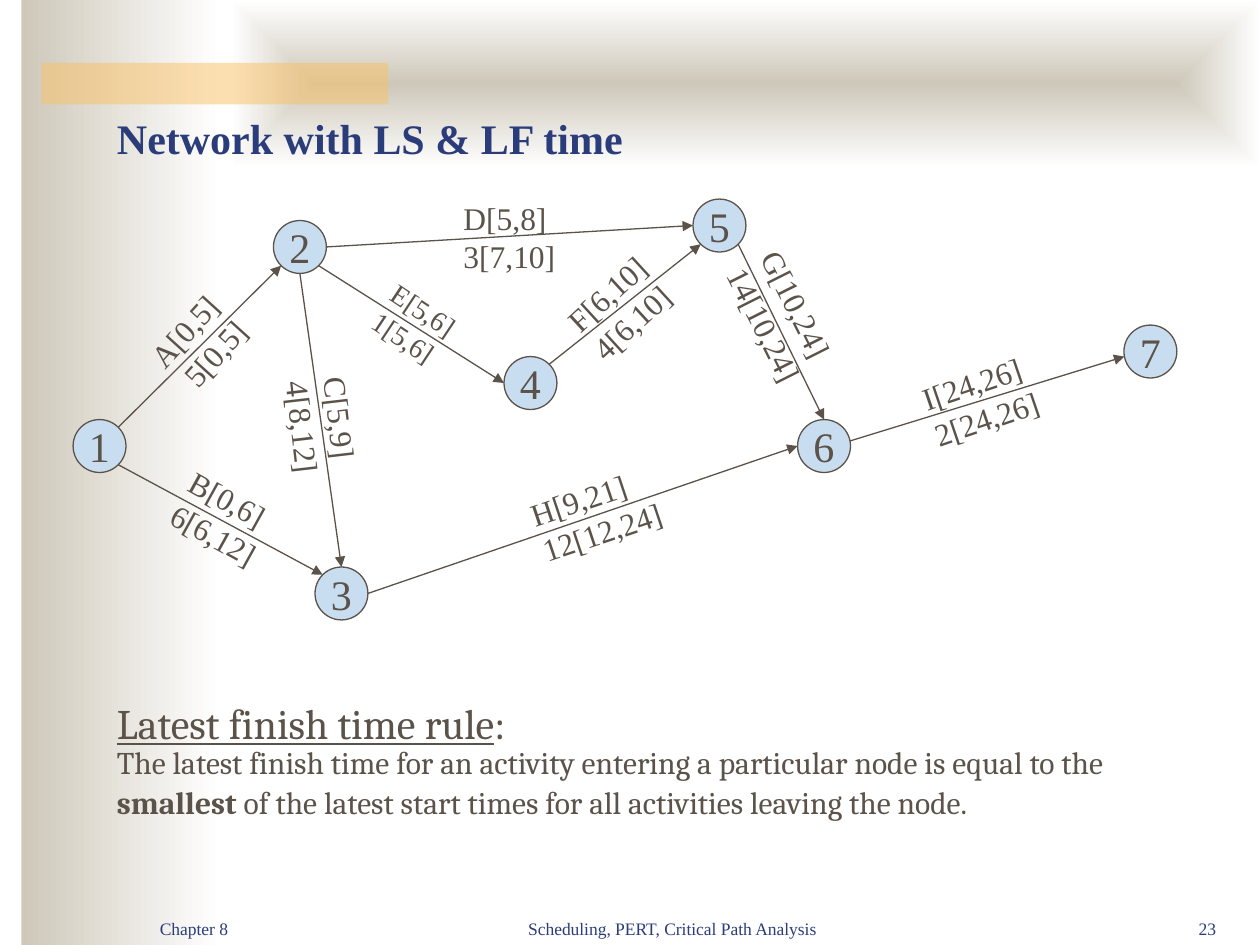
from dataclasses import dataclass
from math import cos, radians, sin

from lxml import etree
from pptx import Presentation
from pptx.dml.color import RGBColor
from pptx.enum.shapes import MSO_CONNECTOR, MSO_SHAPE
from pptx.enum.text import MSO_ANCHOR, PP_ALIGN
from pptx.oxml.ns import qn
from pptx.util import Inches, Pt

RECT, OVAL = MSO_SHAPE.RECTANGLE, MSO_SHAPE.OVAL
STRAIGHT = MSO_CONNECTOR.STRAIGHT
TOP, MIDDLE, BOTTOM = MSO_ANCHOR.TOP, MSO_ANCHOR.MIDDLE, MSO_ANCHOR.BOTTOM
LEFT, CENTER, RIGHT = PP_ALIGN.LEFT, PP_ALIGN.CENTER, PP_ALIGN.RIGHT


@dataclass(frozen=True)
class Theme:
    ink: str = "5B5249"
    navy: str = "2A3D7A"
    node: str = "C9DDF1"
    sand: str = "CEC8BA"
    paper: str = "FFFFFF"
    accent: str = "FAC164"
    network_font: str = "Times New Roman"
    body_font: str = "Cambria"
    large: int = 24
    medium: int = 18
    small: int = 16
    footer: int = 10
    line: float = 0.75


THEME = Theme()
NODE_SIZE = 0.42
NODES = {
    "1": (0.58, 3.33), "3": (2.5, 4.5), "4": (4, 2.83), "2": (2.17, 1.75),
    "5": (5.5, 1.58), "7": (8.92, 2.58), "6": (6.33, 3.33),
}
# Angles run clockwise from the right-hand side of a node.
ACTIVITIES = [
    ("1", -45, "2", 135), ("1", 45, "3", 225), ("2", 90, "3", 270),
    ("2", 45, "4", 180), ("2", 0, "5", 180), ("4", -45, "5", 135),
    ("5", 45, "6", 270), ("3", 0, "6", 180), ("6", -11, "7", 169),
]
LABELS = [
    (("A[0,5]", "5[0,5]"), (1.13, 2.35, 0.93, 0.7), 312.2, {"indents": (0, 0.06)}),
    (("B[0,6]", "6[6,12]"), (1.25, 3.75, 1, 0.7), 29, {"indents": (0.06, 0.06)}),
    (("C[5,9]", "4[8,12]"), (2.06, 3.06, 1, 0.7), 83.4, {}),
    (("D[5,8]", "3[7,10]"), (3.58, 1.53, 1.08, 0.7), 0, {}),
    (("E[5,6]", "1[5,6]"), (2.9, 2.28, 0.85, 0.64), 33.6, {"size": THEME.small}),
    (("F[6,10]", "4[6,10]"), (4.44, 2.08, 0.98, 0.7), 317.5, {}),
    (("G[10,24]", "14[10,24]"), (5.75, 1.92, 1.27, 1.1), 63.3, {"top_inset": 0.43}),
    (("H[9,21]", "12[12,24]"), (4.08, 3.71, 1.4, 0.7), 341.5, {"indents": (0.06, 0.06)}),
    (("I[24,26]", "2[24,26]"), (7.25, 2.8, 1.22, 0.7), 341.2, {}),
]
FOOTERS = [
    ("Chapter 8", (1.17, 7, 2.08, 0.5), LEFT),
    ("Scheduling, PERT, Critical Path Analysis", (3.75, 7, 3.17, 0.5), CENTER),
    ("23", (8.75, 7, 1, 0.5), RIGHT),
]
RULE = [
    [("Latest finish time rule", {"underline": True}), (":", {})],
    [
        ("The latest finish time for an activity entering a particular node "
         "is equal to the ", {"size": THEME.medium}),
        ("smallest", {"size": THEME.medium, "bold": True}),
        (" of the latest start times for all activities leaving the node.",
         {"size": THEME.medium}),
        (" ", {}),
    ],
]


def write_text(frame, paragraphs, *, size, color=THEME.ink, font=THEME.network_font,
               bold=False, align=LEFT, anchor=TOP, wrap=True, spacing=None,
               indents=(), top_inset=0.05):
    frame.word_wrap = wrap
    frame.vertical_anchor = anchor
    frame.margin_left = frame.margin_right = Inches(0.1)
    frame.margin_top, frame.margin_bottom = Inches(top_inset), Inches(0.05)
    for index, pieces in enumerate(paragraphs):
        paragraph = frame.add_paragraph() if index else frame.paragraphs[0]
        paragraph.alignment = align
        if spacing:
            paragraph.line_spacing = spacing
        if indents:
            paragraph._p.get_or_add_pPr().set("marL", str(Inches(indents[index])))
        if isinstance(pieces, str):
            pieces = [(pieces, {})]
        for words, change in pieces:
            run = paragraph.add_run()
            run.text = words
            run.font.name = font
            run.font.size = Pt(change.get("size", size))
            run.font.bold = change.get("bold", bold)
            run.font.underline = change.get("underline", False)
            run.font.color.rgb = RGBColor.from_string(color)


class SlideBuilder:
    def __init__(self, slide, theme):
        self.slide = slide
        self.theme = theme

    def shape(self, kind, box):
        shape = self.slide.shapes.add_shape(kind, *map(Inches, box))
        shape.shadow.inherit = False
        return shape

    def gradient_panel(self, box, from_center=False):
        panel = self.shape(RECT, box)
        panel.line.fill.background()
        panel.fill.gradient()
        panel.fill.gradient_angle = 0
        for stop, color in zip(panel.fill.gradient_stops, (self.theme.sand, self.theme.paper)):
            stop.color.rgb = RGBColor.from_string(color)
        if from_center:
            linear = panel._element.spPr.find(f".//{qn('a:lin')}")
            gradient = linear.getparent()
            gradient.remove(linear)
            radial = etree.SubElement(gradient, qn("a:path"))
            radial.set("path", "rect")
            center = etree.SubElement(radial, qn("a:fillToRect"))
            for side in "ltrb":
                center.set(side, "50000")

    def accent_bar(self, box):
        bar = self.shape(RECT, box)
        bar.line.fill.background()
        bar.fill.solid()
        bar.fill.fore_color.rgb = RGBColor.from_string(self.theme.accent)
        color = bar._element.spPr.find(f".//{qn('a:srgbClr')}")
        etree.SubElement(color, qn("a:alpha")).set("val", "50000")

    def node(self, number, left, top):
        node = self.shape(OVAL, (left, top, NODE_SIZE, NODE_SIZE))
        node.fill.solid()
        node.fill.fore_color.rgb = RGBColor.from_string(self.theme.node)
        node.line.color.rgb = RGBColor.from_string(self.theme.ink)
        node.line.width = Pt(self.theme.line)
        write_text(node.text_frame, [number], size=self.theme.large,
                   align=CENTER, anchor=MIDDLE, wrap=False)

    def arrow(self, start, end):
        arrow = self.slide.shapes.add_connector(STRAIGHT, *map(Inches, start + end))
        arrow.line.color.rgb = RGBColor.from_string(self.theme.ink)
        arrow.line.width = Pt(self.theme.line)
        etree.SubElement(arrow.line._get_or_add_ln(), qn("a:tailEnd")).set("type", "triangle")
        etree.SubElement(arrow._element.spPr, qn("a:effectLst"))

    def text(self, paragraphs, box, rotation=0, **style):
        text = self.slide.shapes.add_textbox(*map(Inches, box))
        text.rotation = rotation
        write_text(text.text_frame, paragraphs, **style)


def rim_point(number, angle):
    left, top = NODES[number]
    radius = NODE_SIZE / 2
    return (left + radius * (1 + cos(radians(angle))),
            top + radius * (1 + sin(radians(angle))))


def main():
    deck = Presentation()
    deck.slide_width, deck.slide_height = Inches(10), Inches(7.5)
    builder = SlideBuilder(deck.slides.add_slide(deck.slide_layouts[6]), THEME)

    builder.gradient_panel((0.17, 0, 1.58, 7.5))
    builder.gradient_panel((1.83, 0, 8.17, 1.33), from_center=True)
    builder.accent_bar((0.33, 0.5, 2.75, 0.33))
    for words, box, align in FOOTERS:
        builder.text([words], box, size=THEME.footer, color=THEME.navy,
                     align=align, anchor=BOTTOM)
    builder.text(["Network with LS & LF time"], (0.83, 0.67, 8.5, 0.67),
                 size=THEME.large, color=THEME.navy, bold=True, anchor=BOTTOM)

    for number, (left, top) in NODES.items():
        builder.node(number, left, top)
    for source, exit_angle, target, entry_angle in ACTIVITIES:
        builder.arrow(rim_point(source, exit_angle), rim_point(target, entry_angle))
    for lines, box, rotation, style in LABELS:
        builder.text(lines, box, rotation, **{"size": THEME.medium, **style})

    builder.text(RULE, (0.83, 5.55, 8.33, 1.29), size=THEME.large,
                 font=THEME.body_font, spacing=0.85)
    deck.save("out.pptx")


if __name__ == "__main__":
    main()
